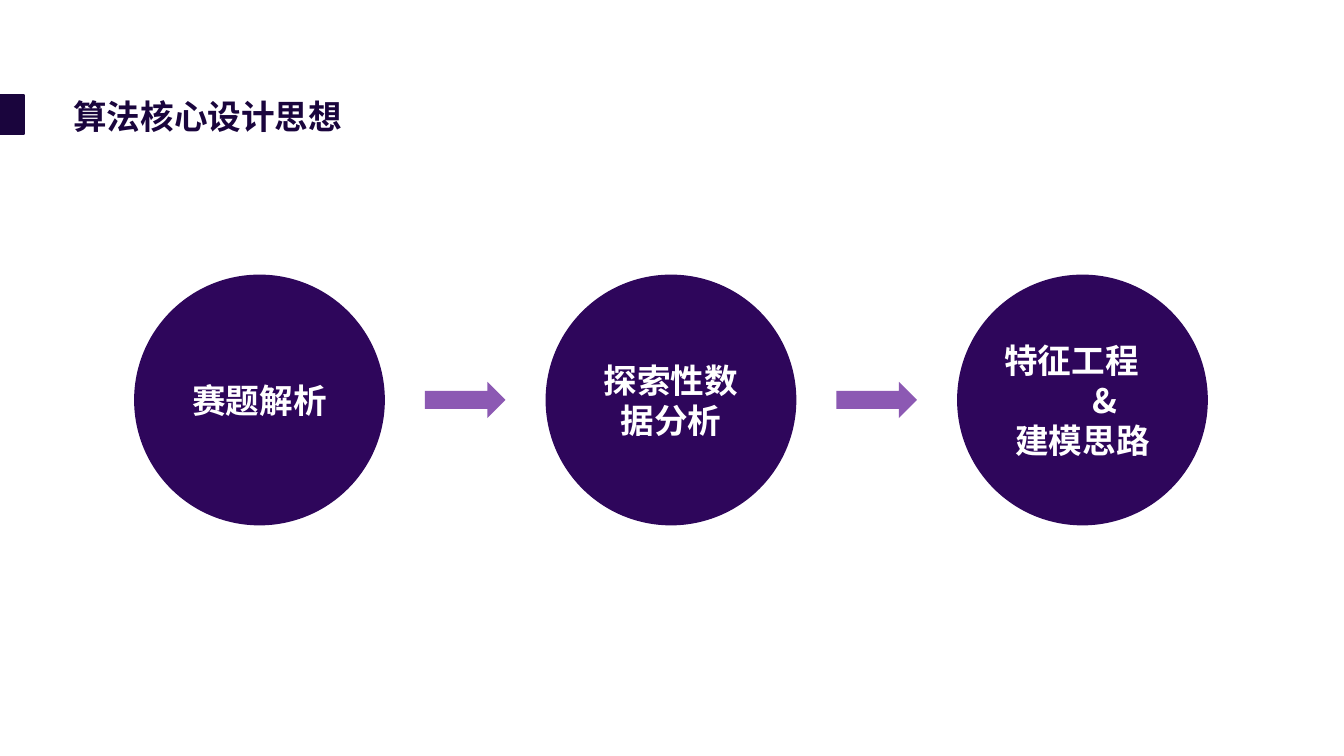
from dataclasses import dataclass

from lxml import etree
from pptx import Presentation
from pptx.dml.color import RGBColor
from pptx.enum.shapes import MSO_SHAPE
from pptx.enum.text import MSO_ANCHOR, PP_ALIGN
from pptx.oxml.ns import qn
from pptx.shapes.autoshape import Shape
from pptx.slide import Slide
from pptx.util import Cm, Length, Pt

RECTANGLE = MSO_SHAPE.RECTANGLE
OVAL = MSO_SHAPE.OVAL
RIGHT_ARROW = MSO_SHAPE.RIGHT_ARROW
MIDDLE = MSO_ANCHOR.MIDDLE
CENTER = PP_ALIGN.CENTER
LEFT = PP_ALIGN.LEFT

INK = RGBColor(0x1A, 0x05, 0x3D)
DEEP_PURPLE = RGBColor(0x2E, 0x06, 0x5B)
ARROW_PURPLE = RGBColor(0x70, 0x30, 0xA0)
WHITE = RGBColor(0xFF, 0xFF, 0xFF)

FONT_NAME = "Noto Sans CJK SC"
FONT_SIZE = Pt(24)

ROW_CENTER = Cm(10.08)
FIRST_STEP_LEFT = Cm(3.38)
STEP_PITCH = Cm(10.37)
STEP_DIAMETER = Cm(6.32)
ARROW_WIDTH = Cm(2.03)
ARROW_HEIGHT = Cm(0.91)
ARROW_OPACITY = 80


@dataclass(frozen=True)
class Line:
    text: str
    left_indent: Length = Cm(0)
    right_indent: Length = Cm(0)


@dataclass(frozen=True)
class Step:
    lines: tuple[Line, ...]


STEPS = (
    Step((Line("赛题解析"),)),
    Step((Line("探索性数据分析"),)),
    Step((
        Line("特征工程", right_indent=Cm(0.55)),
        Line("&", left_indent=Cm(1.11)),
        Line("建模思路"),
    )),
)


def write_lines(shape: Shape, lines: tuple[Line, ...], color: RGBColor,
                alignment: PP_ALIGN) -> None:
    """Fill the shape with bold lines, one paragraph each."""
    frame = shape.text_frame
    frame.word_wrap = True
    frame.vertical_anchor = MIDDLE
    for index, line in enumerate(lines):
        paragraph = frame.add_paragraph() if index else frame.paragraphs[0]
        paragraph.text = line.text
        paragraph.alignment = alignment
        font = paragraph.font
        font.size = FONT_SIZE
        font.bold = True
        font.color.rgb = color
        font.name = FONT_NAME
        properties = paragraph._p.get_or_add_pPr()
        properties.set("marL", str(int(line.left_indent)))
        properties.set("marR", str(int(line.right_indent)))
        east_asian = etree.SubElement(properties.find(qn("a:defRPr")), qn("a:ea"))
        east_asian.set("typeface", FONT_NAME)


def add_filled(slide: Slide, preset: MSO_SHAPE, left: Length, top: Length,
               width: Length, height: Length, color: RGBColor) -> Shape:
    """Add a flat preset shape without an outline."""
    shape = slide.shapes.add_shape(preset, left, top, width, height)
    shape.shadow.inherit = False
    shape.fill.solid()
    shape.fill.fore_color.rgb = color
    shape.line.fill.background()
    return shape


def add_heading(slide: Slide) -> None:
    marker = add_filled(slide, RECTANGLE, Cm(0), Cm(2.39), Cm(0.61), Cm(0.99), INK)
    marker.line.color.rgb = INK
    marker.line.width = Pt(1)
    heading = slide.shapes.add_textbox(Cm(1.6), Cm(2.39), Cm(8.38), Cm(1.19))
    write_lines(heading, (Line("算法核心设计思想"),), INK, LEFT)
    heading.text_frame.paragraphs[0].line_spacing = 0.9


def add_step(slide: Slide, step: Step, left: Length) -> None:
    circle = add_filled(slide, OVAL, left, ROW_CENTER - STEP_DIAMETER // 2,
                        STEP_DIAMETER, STEP_DIAMETER, DEEP_PURPLE)
    circle.text_frame.margin_left = circle.text_frame.margin_right = Cm(0.2)
    write_lines(circle, step.lines, WHITE, CENTER)


def add_arrow_after(slide: Slide, step_left: Length) -> None:
    """Centre an arrow in the gap to the right of a step."""
    gap = STEP_PITCH - STEP_DIAMETER
    left = step_left + STEP_DIAMETER + (gap - ARROW_WIDTH) // 2
    arrow = add_filled(slide, RIGHT_ARROW, left, ROW_CENTER - ARROW_HEIGHT // 2,
                       ARROW_WIDTH, ARROW_HEIGHT, ARROW_PURPLE)
    fill_color = arrow._element.spPr.find(qn("a:solidFill")).find(qn("a:srgbClr"))
    etree.SubElement(fill_color, qn("a:alpha")).set("val", str(ARROW_OPACITY * 1000))


def main() -> None:
    presentation = Presentation()
    presentation.slide_width = Cm(33.87)
    presentation.slide_height = Cm(19.05)
    slide = presentation.slides.add_slide(presentation.slide_layouts[6])
    add_heading(slide)
    for index, step in enumerate(STEPS):
        left = FIRST_STEP_LEFT + index * STEP_PITCH
        add_step(slide, step, left)
        if index < len(STEPS) - 1:
            add_arrow_after(slide, left)
    presentation.save("out.pptx")


if __name__ == "__main__":
    main()
